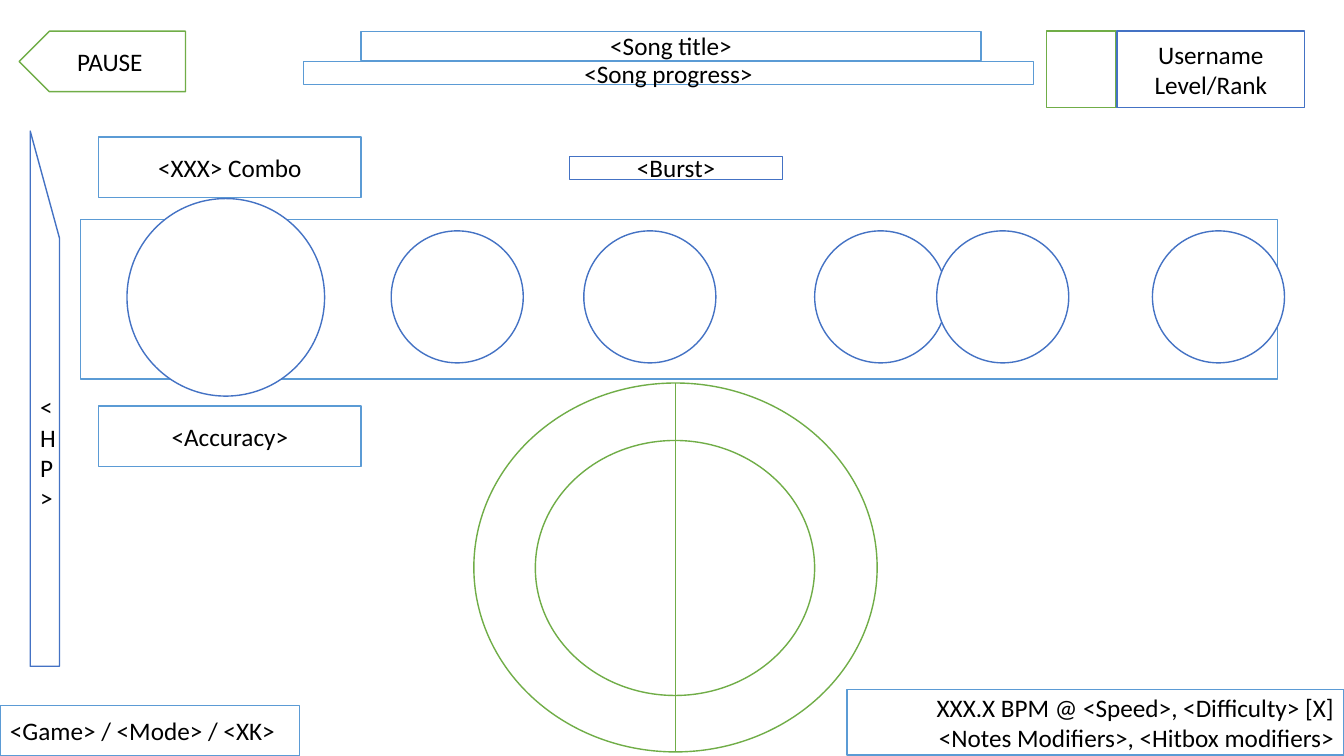
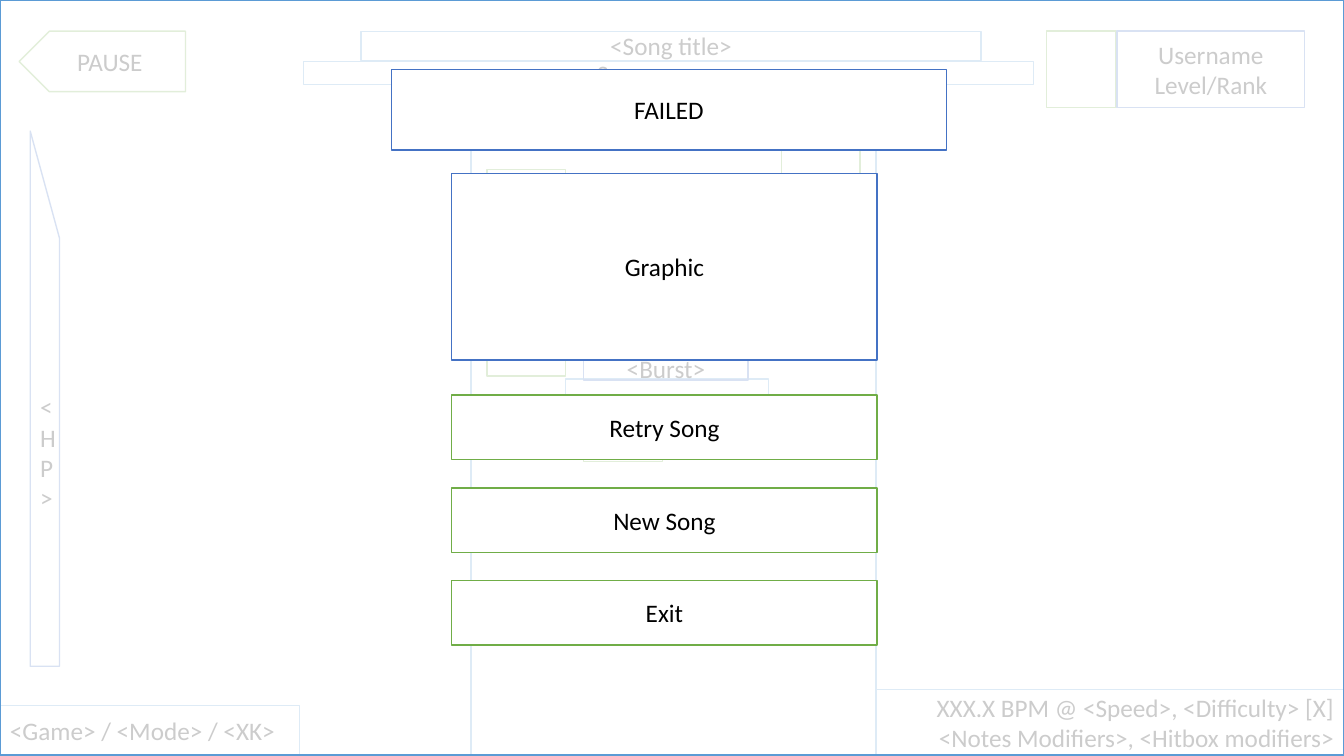
from lxml.etree import SubElement
from pptx import Presentation
from pptx.dml.color import RGBColor
from pptx.enum.shapes import MSO_CONNECTOR, MSO_SHAPE
from pptx.enum.text import MSO_ANCHOR, PP_ALIGN
from pptx.oxml.ns import qn
from pptx.util import Inches, Pt

COLORS = {
    "white": "FFFFFF",
    "black": "000000",
    "green": "70AD47",
    "blue": "4472C4",
    "sky": "5B9BD5",
}
FONT = "Calibri"
BLANK_LAYOUT = 6


def color(name):
    return RGBColor.from_string(COLORS[name])


def add_outline(shapes, bounds, line, text="", filled=True,
                kind=MSO_SHAPE.RECTANGLE, align=PP_ALIGN.CENTER):
    shape = shapes.add_shape(kind, *map(Inches, bounds))
    shape.shadow.inherit = False
    if filled:
        shape.fill.solid()
        shape.fill.fore_color.rgb = color("white")
    else:
        shape.fill.background()
    shape.line.color.rgb = color(line)
    shape.line.width = Pt(1)
    if text:
        write_label(shape.text_frame, text, align)
    return shape


def write_label(text_frame, text, align):
    text_frame.word_wrap = True
    text_frame.vertical_anchor = MSO_ANCHOR.MIDDLE
    paragraph = text_frame.paragraphs[0]
    paragraph.text = text
    paragraph.alignment = align
    for run in paragraph.runs:
        run.font.name = FONT
        run.font.size = Pt(18)
        run.font.color.rgb = color("black")


def add_circle(shapes, left, top, width, height, line):
    add_outline(shapes, (left, top, width, height), line, kind=MSO_SHAPE.OVAL)


def add_line(shapes, start, end, line):
    connector = shapes.add_connector(
        MSO_CONNECTOR.STRAIGHT, *map(Inches, start + end))
    connector.line.color.rgb = color(line)
    connector.line.width = Pt(0.5)
    SubElement(connector._element.spPr, qn("a:effectLst"))


def flip_horizontally(shape):
    shape._element.spPr.get_or_add_xfrm().set("flipH", "1")


def set_opacity(shape, percent):
    fill_color = shape._element.spPr.find(qn("a:solidFill"))[0]
    SubElement(fill_color, qn("a:alpha")).set("val", str(percent * 1000))


def add_game_frame(shapes):
    add_outline(shapes, (8.4, 6.84, 4.93, 0.65), "sky",
                "XXX.X BPM @ <Speed>, <Difficulty> [X]\n"
                "<Notes Modifiers>, <Hitbox modifiers>", align=PP_ALIGN.RIGHT)
    flip_horizontally(add_outline(shapes, (0.19, 0.31, 1.65, 0.6), "green",
                                  "PAUSE", kind=MSO_SHAPE.PENTAGON))
    add_outline(shapes, (10.38, 0.31, 0.69, 0.76), "green")
    add_outline(shapes, (11.08, 0.31, 1.86, 0.76), "blue",
                "Username\nLevel/Rank")
    add_outline(shapes, (0, 7, 2.97, 0.5), "sky",
                "<Game> / <Mode> / <XK>", align=PP_ALIGN.LEFT)
    add_outline(shapes, (3.58, 0.31, 6.15, 0.29), "sky", "<Song title>",
                filled=False)
    add_outline(shapes, (3.01, 0.61, 7.24, 0.23), "sky", "<Song progress>",
                filled=False)
    flip_horizontally(add_outline(
        shapes, (0.3, 1.3, 0.29, 5.31), "blue", "<HP>", filled=False,
        kind=MSO_SHAPE.FLOWCHART_MANUAL_INPUT))


def add_drum(shapes):
    drum = shapes.add_group_shape().shapes
    add_circle(drum, 4.7, 3.8, 4, 3.66, "green")
    add_circle(drum, 5.31, 4.37, 2.77, 2.53, "green")
    add_line(drum, (6.7, 3.8), (6.7, 7.46), "green")


def build_drum_slide(slide):
    shapes = slide.shapes
    add_game_frame(shapes)
    add_outline(shapes, (0.98, 1.36, 2.6, 0.6), "sky", "<XXX> Combo",
                filled=False)
    add_outline(shapes, (0.8, 2.18, 11.87, 1.58), "sky", filled=False)
    add_outline(shapes, (5.65, 1.55, 2.11, 0.23), "blue", "<Burst>",
                filled=False)
    add_outline(shapes, (0.98, 4.03, 2.6, 0.6), "sky", "<Accuracy>",
                filled=False)
    add_circle(shapes, 1.26, 1.97, 1.96, 1.96, "blue")
    for note_left in (3.88, 5.79, 8.08, 9.29, 11.43):
        add_circle(shapes, note_left, 2.29, 1.31, 1.31, "blue")
    add_drum(shapes)


def add_note_lane(shapes):
    add_outline(shapes, (4.67, 0.84, 4.02, 6.66), "sky")
    add_outline(shapes, (4.67, 5.82, 4.02, 0.51), "sky")
    for left, top in ((4.83, 3.37), (5.79, 4.22), (7.75, 1.44), (4.83, 1.68)):
        add_outline(shapes, (left, top, 0.78, 0.36), "green")
    add_outline(shapes, (5.61, 3.76, 2.01, 0.6), "sky", "<Accuracy>",
                filled=False)
    add_outline(shapes, (5.79, 3.54, 1.63, 0.23), "blue", "<Burst>",
                filled=False)


def build_failed_slide(slide):
    shapes = slide.shapes
    add_game_frame(shapes)
    add_note_lane(shapes)
    set_opacity(add_outline(shapes, (0, 0, 13.33, 7.49), "sky"), 80)
    add_outline(shapes, (3.88, 0.69, 5.51, 0.8), "blue", "FAILED")
    for index, label in enumerate(("Retry Song", "New Song", "Exit")):
        add_outline(shapes, (4.48, 3.92 + index * 0.92, 4.22, 0.64),
                    "green", label)
    add_outline(shapes, (4.48, 1.72, 4.22, 1.85), "blue", "Graphic")


def main():
    presentation = Presentation()
    presentation.slide_width = Inches(13.33)
    presentation.slide_height = Inches(7.5)
    layout = presentation.slide_layouts[BLANK_LAYOUT]
    for build_slide in (build_drum_slide, build_failed_slide):
        build_slide(presentation.slides.add_slide(layout))
    presentation.save("out.pptx")


if __name__ == "__main__":
    main()
